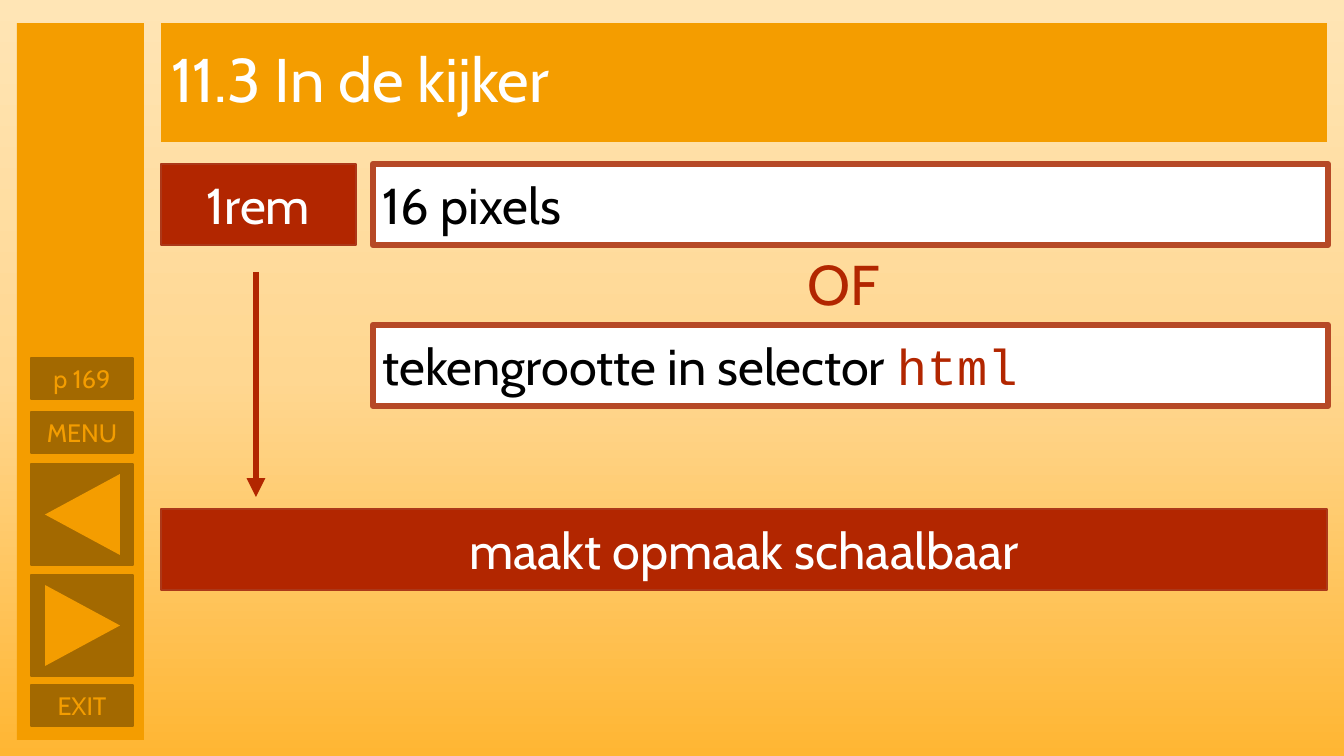
from copy import deepcopy
from dataclasses import dataclass

from lxml import etree
from pptx import Presentation
from pptx.dml.color import RGBColor
from pptx.enum.shapes import MSO_CONNECTOR, MSO_SHAPE
from pptx.enum.text import MSO_ANCHOR, MSO_AUTO_SIZE, PP_ALIGN
from pptx.oxml.ns import qn
from pptx.util import Pt

RECTANGLE = MSO_SHAPE.RECTANGLE
TRIANGLE = MSO_SHAPE.ISOSCELES_TRIANGLE
STRAIGHT = MSO_CONNECTOR.STRAIGHT
MIDDLE = MSO_ANCHOR.MIDDLE
LEFT, CENTER = PP_ALIGN.LEFT, PP_ALIGN.CENTER
FIT_SHAPE, NO_FIT = MSO_AUTO_SIZE.SHAPE_TO_FIT_TEXT, MSO_AUTO_SIZE.NONE

EMU_PER_PX = 12192000 / 1344


@dataclass(frozen=True)
class Theme:
    orange: str = "F49D00"
    brown: str = "A36900"
    red: str = "B22600"
    red_edge: str = "AC3819"
    frame: str = "B64926"
    white: str = "FFFFFF"
    black: str = "000000"
    sky: tuple = ((0, "FFE5B5"), (0.5, "FFD791"), (1, "FFB633"))
    font: str = "Cabin"
    code_font: str = "Courier New"
    title_size: int = 44
    or_size: int = 40
    body_size: int = 36
    button_size: int = 18
    thin: float = 1
    thick: float = 4.5


theme = Theme()


def px(*lengths):
    """Turn pixel lengths into EMU."""
    return [round(length * EMU_PER_PX) for length in lengths]


def add_panel(box, fill, edge=None, width=theme.thin, text="", size=theme.body_size,
              color=theme.white, align=CENTER, kind=RECTANGLE):
    panel = slide.shapes.add_shape(kind, *px(*box))
    panel.shadow.inherit = False
    panel.fill.solid()
    panel.fill.fore_color.rgb = RGBColor.from_string(fill)
    if edge:
        panel.line.color.rgb = RGBColor.from_string(edge)
        panel.line.width = Pt(width)
    else:
        panel.line.fill.background()
    if text:
        panel.text_frame.vertical_anchor = MIDDLE
        paragraph = panel.text_frame.paragraphs[0]
        paragraph.text = text
        paragraph.alignment = align
        paragraph.font.name = theme.font
        paragraph.font.size = Pt(size)
        paragraph.font.color.rgb = RGBColor.from_string(color)
    return panel


prs = Presentation()
prs.slide_width, prs.slide_height = px(1344, 756)
slide = prs.slides.add_slide(prs.slide_layouts.get_by_name("Title Only"))

# Background: three gradient stops, top to bottom
sky = slide.background.fill
sky.gradient()
sky.gradient_angle = 270
first_stop = next(slide.element.iter(qn("a:gs")))
first_stop.addnext(deepcopy(first_stop))
for stop, (position, color) in zip(sky.gradient_stops, theme.sky):
    stop.position = position
    stop.color.rgb = RGBColor.from_string(color)

# Navigation bar
add_panel((17, 23, 127, 717), theme.orange)
for label, top in (("p 169", 358), ("MENU", 412), ("EXIT", 685)):
    add_panel((31, top, 102, 41), theme.brown, theme.brown,
              text=label, size=theme.button_size, color=theme.orange)
for top, rotation in ((464, 270), (575, 90)):
    add_panel((31, top, 102, 101), theme.brown, theme.brown)
    arrowhead = add_panel((42, top + 13, 81, 75), theme.orange, kind=TRIANGLE)
    arrowhead.rotation = rotation

# Title
title = slide.shapes.title
title.left, title.top, title.width, title.height = px(161, 23, 1166, 119)
title.fill.solid()
title.fill.fore_color.rgb = RGBColor.from_string(theme.orange)
title.text_frame.auto_size = NO_FIT
title.text_frame.vertical_anchor = MIDDLE
heading = title.text_frame.paragraphs[0]
heading.text = "11.3 In de kijker"
heading.alignment = LEFT
heading.line_spacing = 0.9
heading.font.name = theme.font
heading.font.size = Pt(theme.title_size)
heading.font.color.rgb = RGBColor.from_string(theme.white)

# The unit, its two meanings and the conclusion
for text, top, left, width in (("1rem", 164, 161, 195),
                               ("maakt opmaak schaalbaar", 509, 161, 1166)):
    add_panel((left, top, width, 81), theme.red, theme.red_edge, text=text)
for text, top in (("16 pixels", 164), ("tekengrootte in selector ", 325)):
    meaning = add_panel((373, top, 955, 81), theme.white, theme.frame, theme.thick,
                        text=text, color=theme.black, align=LEFT)
selector = meaning.text_frame.paragraphs[0].add_run()
selector.text = "html"
selector.font.name = theme.code_font
selector.font.color.rgb = RGBColor.from_string(theme.red)

either = slide.shapes.add_textbox(*px(798, 245, 290, 78)).text_frame
either.word_wrap = True
either.auto_size = FIT_SHAPE
choice = either.paragraphs[0]
choice.text = "OF"
choice.font.name = theme.font
choice.font.size = Pt(theme.or_size)
choice.font.color.rgb = RGBColor.from_string(theme.red)

consequence = slide.shapes.add_connector(STRAIGHT, *px(256, 272, 256, 497))
consequence.line.color.rgb = RGBColor.from_string(theme.red)
consequence.line.width = Pt(theme.thick)
etree.SubElement(consequence.line._get_or_add_ln(), qn("a:tailEnd"), type="triangle")
etree.SubElement(consequence.element.spPr, qn("a:effectLst"))

prs.save("out.pptx")
